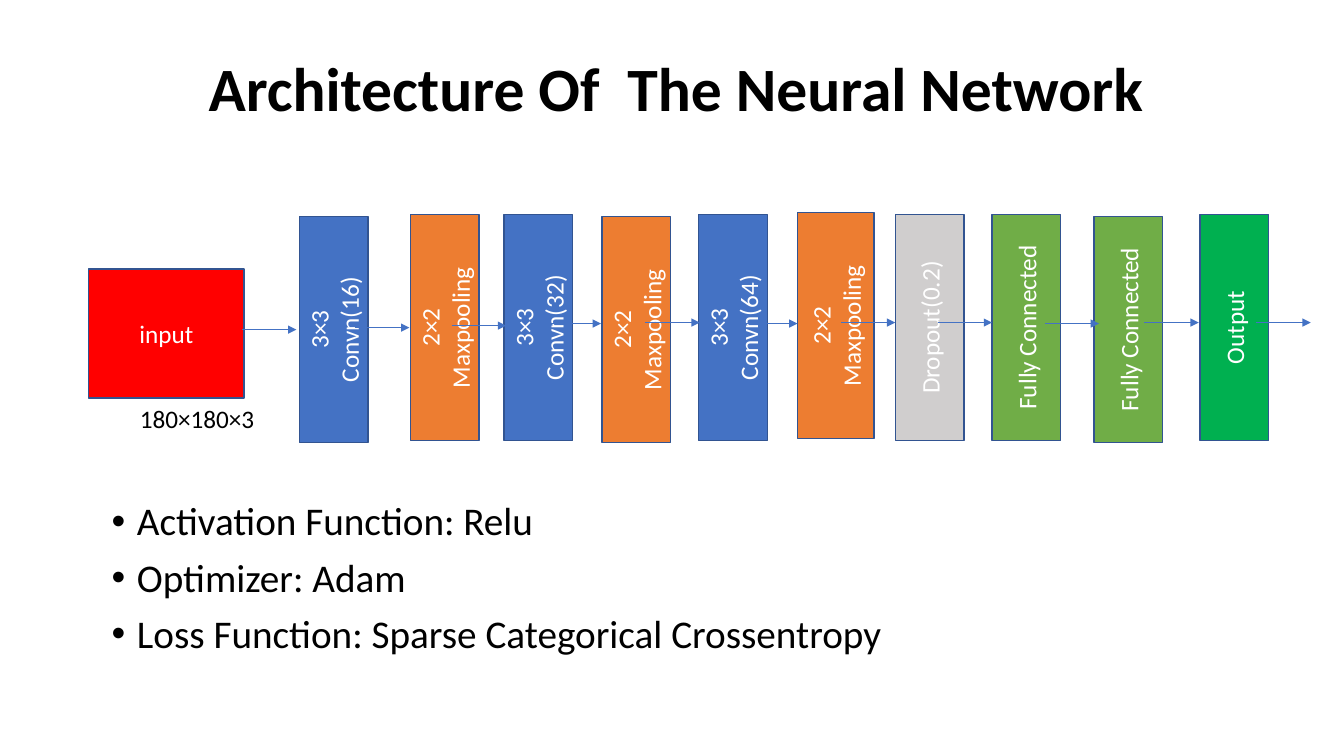
from pptx import Presentation
from pptx.dml.color import RGBColor
from pptx.enum.shapes import MSO_CONNECTOR, MSO_SHAPE
from pptx.enum.text import MSO_ANCHOR, PP_ALIGN
from pptx.oxml.ns import qn
from pptx.util import Pt
from lxml.etree import SubElement

PX = 9144
FONT = "Calibri"
COLORS = {
    "black": "000000", "white": "FFFFFF", "input": "FF0000", "outline": "325491",
    "convolution": "4472C4", "pooling": "ED7D31", "dropout": "D0CECE",
    "connected": "70AD47", "output": "00B050", "arrow": "4472C4",
}
BLOCK_LENGTH, BLOCK_DEPTH, ARROW_LENGTH = 224, 68, 54
LAYERS = [
    ("3×3\nConvn(16)", "convolution", 331, 327, BLOCK_DEPTH),
    ("2×2\nMaxpooling", "pooling", 441, 325, BLOCK_DEPTH),
    ("3×3\nConvn(32)", "convolution", 534, 325, BLOCK_DEPTH),
    ("2×2\nMaxpooling", "pooling", 631, 327, BLOCK_DEPTH),
    ("3×3\nConvn(64)", "convolution", 727, 325, BLOCK_DEPTH),
    ("2×2\nMaxpooling", "pooling", 829, 323, 76),
    ("Dropout(0.2)", "dropout", 922, 325, BLOCK_DEPTH),
    ("Fully Connected", "connected", 1018, 325, BLOCK_DEPTH),
    ("Fully Connected", "connected", 1119, 327, BLOCK_DEPTH),
    ("Output", "output", 1224, 325, BLOCK_DEPTH),
]
ARROW_STARTS = [
    (240, 327), (352, 325), (448, 323), (542, 321), (640, 320), (737, 321),
    (834, 320), (930, 320), (1036, 321), (1135, 320), (1246, 320),
]
SETTINGS = [
    "Activation Function: Relu",
    "Optimizer: Adam",
    "Loss Function: Sparse Categorical Crossentropy",
]


def px(*lengths):
    """Turn lengths in px into EMU."""
    return [length * PX for length in lengths]


def color(name):
    """Look up a named colour."""
    return RGBColor.from_string(COLORS[name])


def write(frame, text, size, ink, align=PP_ALIGN.CENTER, bold=False):
    """Fill a text frame and format all its runs."""
    frame.text = text
    frame.word_wrap = True
    for para in frame.paragraphs:
        para.alignment = align
        for span in para.runs:
            span.font.name = FONT
            span.font.size = Pt(size)
            span.font.bold = bold
            span.font.color.rgb = color(ink)


def add_title(page, box):
    """Place the slide title in its placeholder."""
    title = page.shapes.title
    title.left, title.top, title.width, title.height = px(*box)
    write(title.text_frame, "Architecture Of  The Neural Network", 44, "black", bold=True)
    title.text_frame.vertical_anchor = MSO_ANCHOR.MIDDLE
    title.text_frame.paragraphs[0].line_spacing = 0.9


def add_block(page, box, text, fill):
    """Draw a filled rectangle with a centred white label."""
    block = page.shapes.add_shape(MSO_SHAPE.RECTANGLE, *px(*box))
    block.shadow.inherit = False
    block.fill.solid()
    block.fill.fore_color.rgb = color(fill)
    block.line.color.rgb = color("outline")
    block.line.width = Pt(1)
    write(block.text_frame, text, 18, "white")
    block.text_frame.vertical_anchor = MSO_ANCHOR.MIDDLE
    return block


def add_input(page, box):
    """Draw the input block with its dimensions below."""
    left, top, width, height = box
    add_block(page, box, "input", "input")
    caption = page.shapes.add_textbox(*px(left + 34, top + height, 147, 40))
    write(caption.text_frame, "180×180×3", 18, "black")


def add_layer(page, text, fill, center_x, center_y, depth):
    """Draw one upright network layer around its centre."""
    box = (center_x - BLOCK_LENGTH // 2, center_y - depth // 2, BLOCK_LENGTH, depth)
    block = add_block(page, box, text, fill)
    block.rotation = 270
    return block


def add_arrow(page, left, level):
    """Draw one short arrow to the right."""
    ends = px(left, level, left + ARROW_LENGTH, level)
    arrow = page.shapes.add_connector(MSO_CONNECTOR.STRAIGHT, *ends)
    arrow.line.color.rgb = color("arrow")
    arrow.line.width = Pt(0.5)
    SubElement(arrow.line._get_or_add_ln(), qn("a:tailEnd"), type="triangle")
    SubElement(arrow._element.spPr, qn("a:effectLst"))


def add_network(page):
    """Draw the chain of layers and the arrows along it."""
    for layer in LAYERS:
        add_layer(page, *layer)
    for start in ARROW_STARTS:
        add_arrow(page, *start)


def add_settings(page, box):
    """List the training settings as bullets."""
    frame = page.shapes.add_textbox(*px(*box)).text_frame
    write(frame, "\n".join(SETTINGS), 28, "black", PP_ALIGN.LEFT)
    for para in frame.paragraphs:
        para.line_spacing = 0.9
        para.space_before = Pt(10)
        properties = para._p.get_or_add_pPr()
        properties.set("marL", str(25 * PX))
        properties.set("indent", str(-25 * PX))
        SubElement(properties, qn("a:buFont"), typeface="Arial")
        SubElement(properties, qn("a:buChar"), char="•")


def main():
    """Build and save the deck."""
    deck = Presentation()
    deck.slide_width, deck.slide_height = px(1333, 750)
    page = deck.slides.add_slide(deck.slide_layouts[5])
    add_title(page, (96, 18, 1150, 145))
    add_settings(page, (101, 493, 1222, 227))
    add_input(page, (88, 267, 154, 128))
    add_network(page)
    deck.save("out.pptx")


if __name__ == "__main__":
    main()
